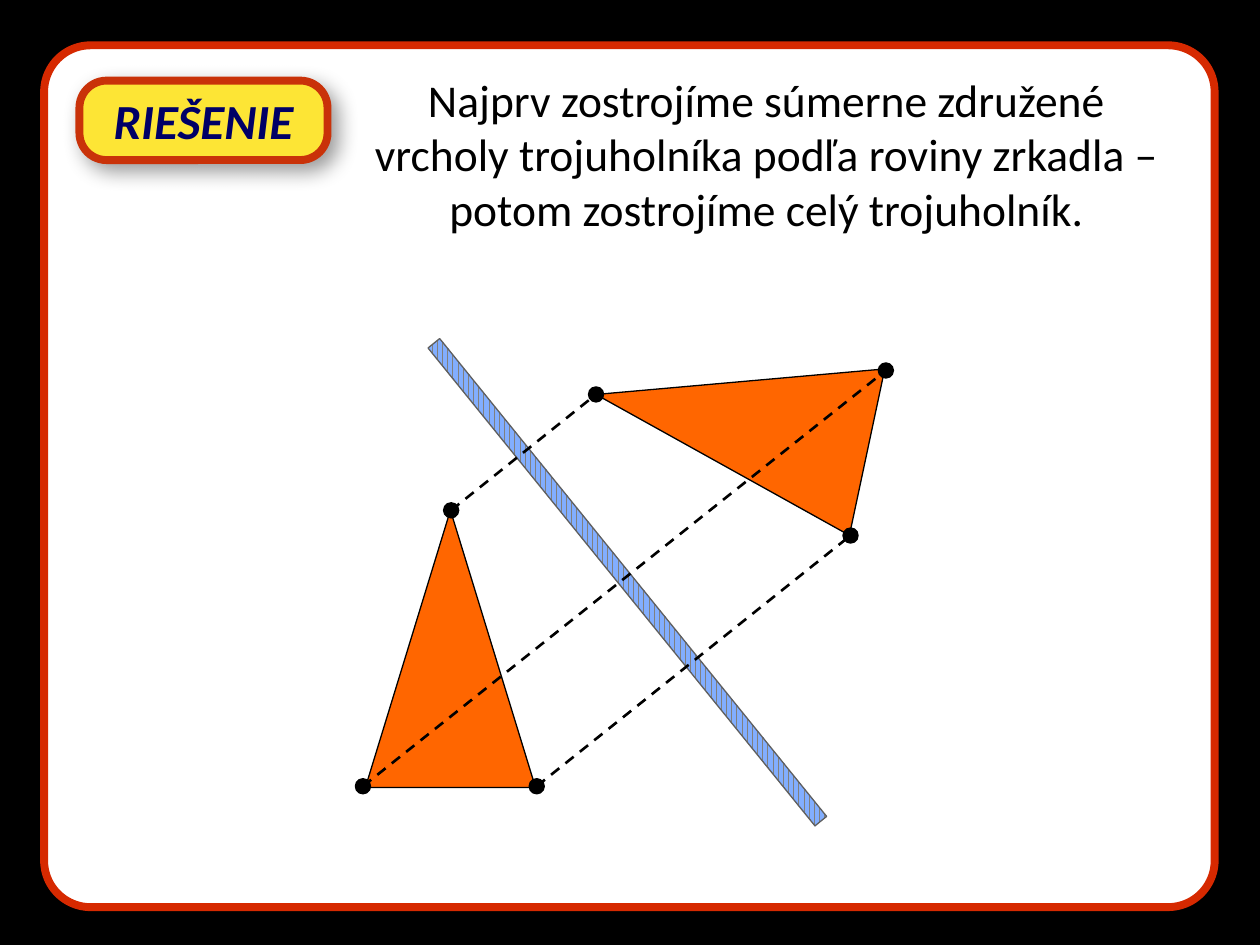
"""Build a slide showing a triangle reflected in a mirror line."""
import lxml.etree
import pptx
import pptx.dml.color
import pptx.enum.dml
import pptx.enum.shapes
import pptx.enum.text
import pptx.oxml.ns
import pptx.util

Pt = pptx.util.Pt
qn = pptx.oxml.ns.qn
SHAPE = pptx.enum.shapes.MSO_SHAPE
TEXT = pptx.enum.text


def color(value):
    return pptx.dml.color.RGBColor.from_string(value)


class MirrorSlide:
    font = "Calibri"
    black = "000000"
    orange = "FF6600"
    dot_size = 8.64

    def __init__(self, presentation):
        self.slide = presentation.slides.add_slide(presentation.slide_layouts[5])
        fill = self.slide.background.fill
        fill.solid()
        fill.fore_color.rgb = color(self.black)

    def shape(self, kind, box, fill, line, width=0.75, rotation=0):
        shape = self.slide.shapes.add_shape(kind, *map(Pt, box))
        shape.shadow.inherit = False
        shape.fill.solid()
        shape.fill.fore_color.rgb = color(fill)
        shape.line.color.rgb = color(line)
        shape.line.width = Pt(width)
        shape.rotation = rotation
        return shape

    def panel(self, box, corner, fill, line, distance):
        shape = self.shape(SHAPE.ROUNDED_RECTANGLE, box, fill, line, 4.5)
        shape.adjustments[0] = corner
        effects = shape._element.spPr.find(qn("a:effectLst"))
        shadow = lxml.etree.SubElement(
            effects, qn("a:outerShdw"), blurRad=str(Pt(12)), dist=str(Pt(distance)),
            dir="2700000", algn="tl", rotWithShape="0")
        tint = lxml.etree.SubElement(shadow, qn("a:srgbClr"), val=self.black)
        lxml.etree.SubElement(tint, qn("a:alpha"), val="40000")
        return shape

    def centered_text(self, frame, text, size, ink, emphasis=False):
        paragraph = frame.paragraphs[0]
        paragraph.alignment = TEXT.PP_ALIGN.CENTER
        run = paragraph.add_run()
        run.text = text
        run.font.name = self.font
        run.font.size = Pt(size)
        run.font.bold = run.font.italic = emphasis
        run.font.color.rgb = color(ink)
        return paragraph

    def title(self, box, text):
        title = self.slide.shapes.title
        title.left, title.top, title.width, title.height = map(Pt, box)
        frame = title.text_frame
        frame.word_wrap = True
        frame.auto_size = TEXT.MSO_AUTO_SIZE.NONE
        frame.vertical_anchor = TEXT.MSO_ANCHOR.TOP
        self.centered_text(frame, text, 26, self.black)
        self.slide.shapes._spTree.append(title._element)

    def badge(self, box, text):
        frame = self.panel(box, 0.341, "FDE535", "C93209", 6).text_frame
        frame.word_wrap = False
        frame.vertical_anchor = TEXT.MSO_ANCHOR.MIDDLE
        frame.margin_left = frame.margin_right = Pt(11.5)
        frame.margin_top = frame.margin_bottom = 0
        self.centered_text(frame, text, 28, "000066", True).space_after = Pt(6)

    def mirror(self, box, rotation):
        shape = self.shape(SHAPE.RECTANGLE, box, "82AEFF", "5F5F5F", rotation=rotation)
        shape.fill.patterned()
        shape.fill.pattern = pptx.enum.dml.MSO_PATTERN.DARK_VERTICAL
        shape.fill.fore_color.rgb = color("82AEFF")
        shape.fill.back_color.rgb = color("808080")

    def triangle(self, left, top, rotation=0, flipped=False):
        shape = self.shape(SHAPE.ISOSCELES_TRIANGLE, (left, top, 97.2, 158.4),
                           self.orange, self.black, rotation=rotation)
        if flipped:
            shape._element.spPr.xfrm.set("flipH", "1")

    def projection(self, start, end):
        connector = self.slide.shapes.add_connector(
            pptx.enum.shapes.MSO_CONNECTOR.STRAIGHT, *map(Pt, start + end))
        connector.line.color.rgb = color(self.black)
        connector.line.width = Pt(1.5)
        connector.line.dash_style = pptx.enum.dml.MSO_LINE.DASH
        lxml.etree.SubElement(connector._element.spPr, qn("a:effectLst"))

    def dot(self, center):
        left, top = (value - self.dot_size / 2 for value in center)
        self.shape(SHAPE.OVAL, (left, top, self.dot_size, self.dot_size),
                   self.black, self.black)


def main():
    presentation = pptx.Presentation()
    presentation.slide_width, presentation.slide_height = Pt(720), Pt(540)
    page = MirrorSlide(presentation)
    page.panel((25.2, 25.9, 668.9, 492.5), 0.054, "FFFFFF", "D62900", 9)
    page.title((198.7, 37.4, 478.8, 101.5),
               "Najprv zostrojíme súmerne združené vrcholy trojuholníka podľa "
               "roviny zrkadla – potom zostrojíme celý trojuholník.")
    page.badge((45.4, 46.1, 141.8, 45.4), "RIEŠENIE")
    page.mirror((354.2, 157, 8.6, 351.4), 321)
    page.triangle(208.8, 291.6)
    page.triangle(369.4, 162.7, 282, True)

    vertex_pairs = [
        ((257.8, 291.6), (340.6, 225.4)),
        ((306.7, 449.3), (486, 306)),
        ((207.4, 449.3), (506.2, 211.7)),
    ]
    for vertex, reflection in vertex_pairs:
        page.projection(vertex, reflection)
    for pair in vertex_pairs:
        for vertex in pair:
            page.dot(vertex)
    presentation.save("out.pptx")


if __name__ == "__main__":
    main()
